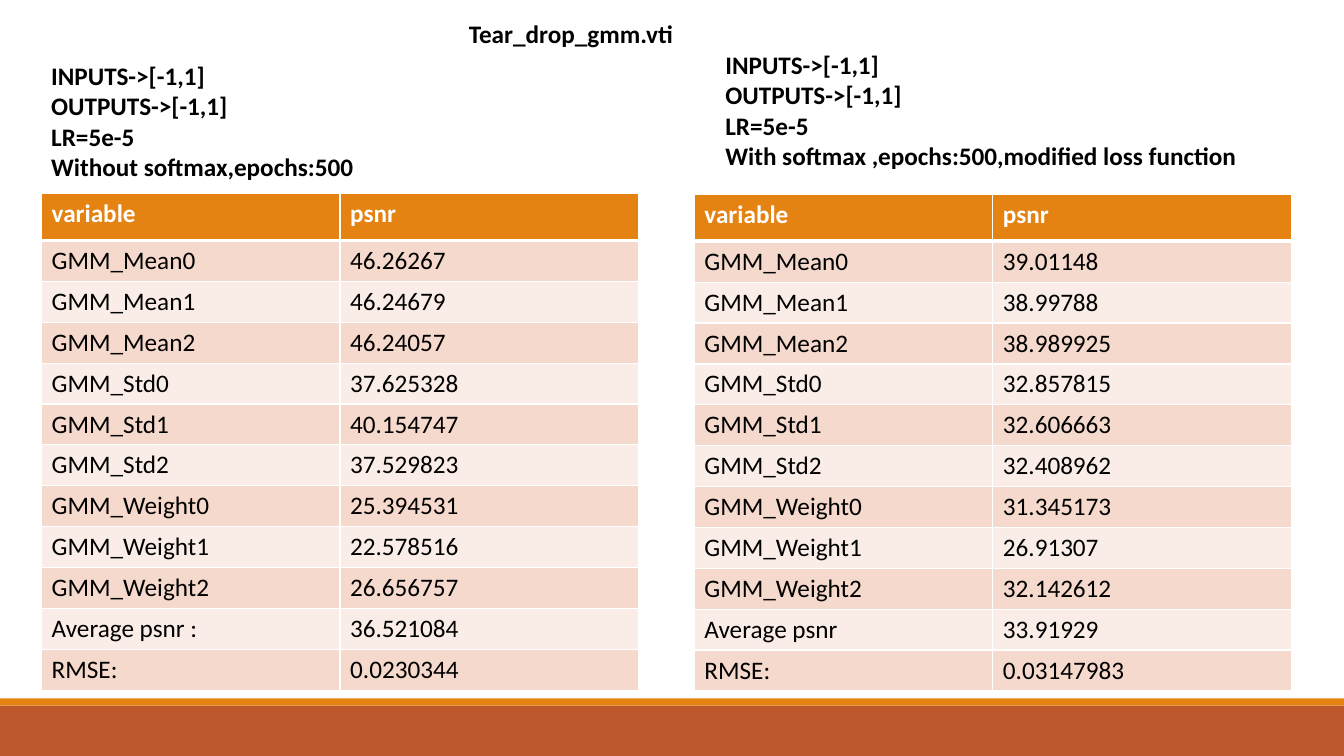
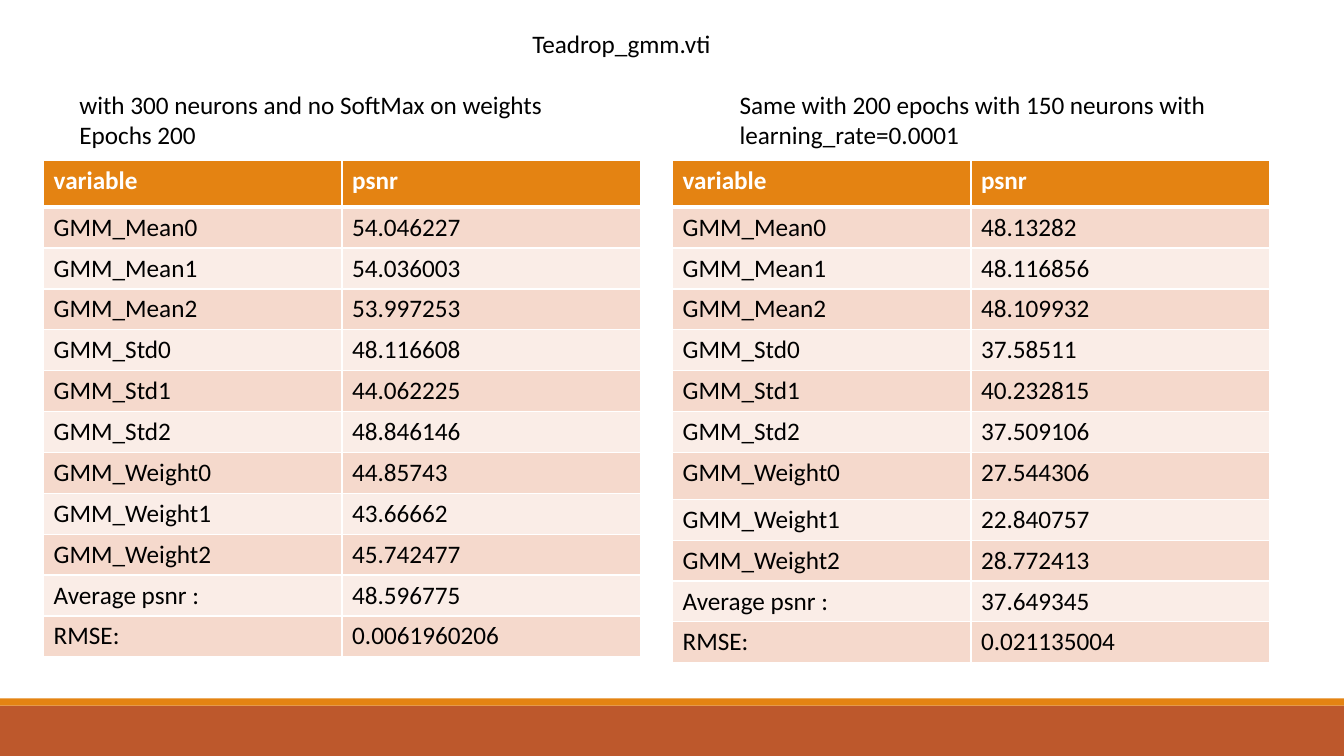
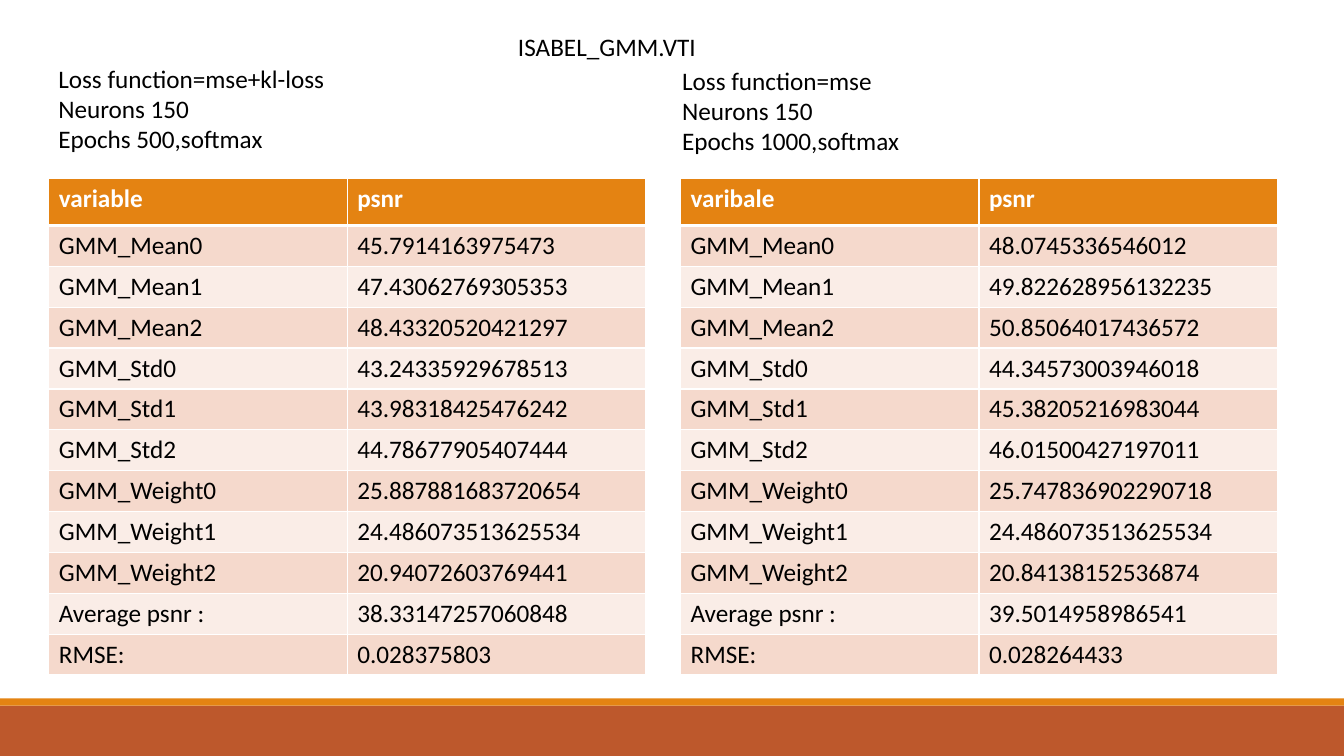
from dataclasses import dataclass

import lxml.etree
import pptx
import pptx.dml.color
import pptx.enum.shapes
import pptx.enum.text
import pptx.oxml.ns
import pptx.util
from pptx.util import Cm

FONT = "Calibri"
TEXT_SIZE = pptx.util.Pt(18)
ORANGE, RUST, WHITE, BLACK = "E48312", "BD582C", "FFFFFF", "000000"
ROW_FILLS = ("F5D9CC", "FAEDE7")

SLIDE_WIDTH, SLIDE_HEIGHT = 33.87, 19.05
COLUMN_WIDTH = 7.52
ROW_HEIGHT, TALL_ROW_HEIGHT = 1.03, 1.18
TITLE_ONLY = 5
VARIABLES = [f"GMM_{name}{index}" for name in ("Mean", "Std", "Weight") for index in range(3)]


@dataclass(frozen=True)
class Box:
    """Place and size in centimetres."""
    left: float
    top: float
    width: float
    height: float

    def lengths(self) -> tuple[Cm, Cm, Cm, Cm]:
        return Cm(self.left), Cm(self.top), Cm(self.width), Cm(self.height)


@dataclass(frozen=True)
class Experiment:
    """Settings note with the table of its scores: nine variables, average, RMSE."""
    note: str
    note_box: Box
    table_left: float
    table_top: float
    scores: str
    variable_header: str = "variable"
    average_label: str = "Average psnr :"
    tall_rows: tuple[int, ...] = (0,)


@dataclass(frozen=True)
class Comparison:
    title: str
    title_box: Box
    experiments: tuple[Experiment, Experiment]
    bold: bool = False


BANDS = (
    (Box(0, 17.78, SLIDE_WIDTH, 1.27), RUST),
    (Box(0, 17.6, SLIDE_WIDTH, 0.18), ORANGE),
)

COMPARISONS = (
    Comparison(
        "Tear_drop_gmm.vti", Box(11.56, 0.33, 14.35, 1.02),
        (
            Experiment(
                "INPUTS->[-1,1]\nOUTPUTS->[-1,1]\nLR=5e-5\nWithout softmax,epochs:500",
                Box(1.04, 1.4, 14.35, 3.33), 1.05, 4.88,
                "46.26267 46.24679 46.24057 37.625328 40.154747 37.529823 "
                "25.394531 22.578516 26.656757 36.521084 0.0230344",
            ),
            Experiment(
                "INPUTS->[-1,1]\nOUTPUTS->[-1,1]\nLR=5e-5\n"
                "With softmax ,epochs:500,modified loss function",
                Box(18.03, 1.12, 14.35, 3.33), 17.5, 4.9,
                "39.01148 38.99788 38.989925 32.857815 32.606663 32.408962 "
                "31.345173 26.91307 32.142612 33.91929 0.03147983",
                average_label="Average psnr",
            ),
        ),
        bold=True,
    ),
    Comparison(
        "Teadrop_gmm.vti", Box(13.16, 0.58, 9.7, 1.02),
        (
            Experiment(
                "with 300 neurons and no SoftMax on weights\nEpochs 200",
                Box(1.75, 2.13, 13.74, 1.8), 1.1, 4.04,
                "54.046227 54.036003 53.997253 48.116608 44.062225 48.846146 "
                "44.85743 43.66662 45.742477 48.596775 0.0061960206",
            ),
            Experiment(
                "Same with 200 epochs with 150 neurons with learning_rate=0.0001",
                Box(18.39, 2.13, 14.76, 1.8), 16.95, 4.04,
                "48.13282 48.116856 48.109932 37.58511 40.232815 37.509106 "
                "27.544306 22.840757 28.772413 37.649345 0.021135004",
                tall_rows=(0, 7),
            ),
        ),
    ),
    Comparison(
        "ISABEL_GMM.VTI", Box(12.8, 0.66, 16.28, 1.02),
        (
            Experiment(
                "Loss function=mse+kl-loss\nNeurons 150\nEpochs 500,softmax",
                Box(1.22, 1.47, 7.6, 2.57), 1.23, 4.5,
                "45.7914163975473 47.43062769305353 48.43320520421297 "
                "43.24335929678513 43.98318425476242 44.78677905407444 "
                "25.887881683720654 24.486073513625534 20.94072603769441 "
                "38.33147257060848 0.028375803",
            ),
            Experiment(
                "Loss function=mse\nNeurons 150\nEpochs 1000,softmax",
                Box(16.94, 1.52, 7.6, 2.57), 17.15, 4.5,
                "48.0745336546012 49.822628956132235 50.85064017436572 "
                "44.34573003946018 45.38205216983044 46.01500427197011 "
                "25.747836902290718 24.486073513625534 20.84138152536874 "
                "39.5014958986541 0.028264433",
                variable_header="varibale",
            ),
        ),
    ),
)


def color(value: str) -> pptx.dml.color.RGBColor:
    return pptx.dml.color.RGBColor.from_string(value)


def write_text(frame, text: str, text_color: str = BLACK, bold: bool = False) -> None:
    frame.text = text
    for paragraph in frame.paragraphs:
        paragraph.alignment = pptx.enum.text.PP_ALIGN.LEFT
        paragraph.font.name = FONT
        paragraph.font.size = TEXT_SIZE
        paragraph.font.bold = bold
        paragraph.font.color.rgb = color(text_color)


def add_bands(slide) -> None:
    for box, fill in BANDS:
        band = slide.shapes.add_shape(pptx.enum.shapes.MSO_SHAPE.RECTANGLE, *box.lengths())
        band.shadow.inherit = False
        band.fill.solid()
        band.fill.fore_color.rgb = color(fill)
        band.line.fill.background()


def set_title(slide, comparison: Comparison) -> None:
    title = slide.shapes.title
    title.left, title.top, title.width, title.height = comparison.title_box.lengths()
    frame = title.text_frame
    frame.word_wrap = True
    frame.auto_size = pptx.enum.text.MSO_AUTO_SIZE.NONE
    frame.vertical_anchor = pptx.enum.text.MSO_ANCHOR.TOP
    write_text(frame, comparison.title, bold=comparison.bold)


def add_note(slide, experiment: Experiment, bold: bool) -> None:
    frame = slide.shapes.add_textbox(*experiment.note_box.lengths()).text_frame
    frame.word_wrap = True
    write_text(frame, experiment.note, bold=bold)


def set_borders(cell, widths: dict[str, float]) -> None:
    """Draw white borders; the keys are the sides L, R, T, B in that order."""
    properties = cell._tc.get_or_add_tcPr()
    tag = pptx.oxml.ns.qn
    for side, points in widths.items():
        line = lxml.etree.SubElement(
            properties, tag(f"a:ln{side}"), w=str(int(pptx.util.Pt(points))))
        fill = lxml.etree.SubElement(line, tag("a:solidFill"))
        lxml.etree.SubElement(fill, tag("a:srgbClr"), val=WHITE)


def add_score_table(slide, experiment: Experiment) -> None:
    labels = [experiment.variable_header, *VARIABLES, experiment.average_label, "RMSE:"]
    scores = ["psnr", *experiment.scores.split()]
    heights = [TALL_ROW_HEIGHT if row in experiment.tall_rows else ROW_HEIGHT
               for row in range(len(labels))]
    box = Box(experiment.table_left, experiment.table_top, 2 * COLUMN_WIDTH, sum(heights))
    table = slide.shapes.add_table(len(labels), 2, *box.lengths()).table
    for column in table.columns:
        column.width = Cm(COLUMN_WIDTH)
    for row, texts in enumerate(zip(labels, scores)):
        table.rows[row].height = Cm(heights[row])
        is_header = row == 0
        top = 3 if row == 1 else 1
        bottom = 3 if is_header else 1
        for column, text in enumerate(texts):
            cell = table.cell(row, column)
            set_borders(cell, {"L": 1, "R": 1, "T": top, "B": bottom})
            cell.fill.solid()
            cell.fill.fore_color.rgb = color(ORANGE if is_header else ROW_FILLS[(row - 1) % 2])
            write_text(cell.text_frame, text, WHITE if is_header else BLACK, is_header)


def main() -> None:
    presentation = pptx.Presentation()
    presentation.slide_width = Cm(SLIDE_WIDTH)
    presentation.slide_height = Cm(SLIDE_HEIGHT)
    for comparison in COMPARISONS:
        slide = presentation.slides.add_slide(presentation.slide_layouts[TITLE_ONLY])
        add_bands(slide)
        set_title(slide, comparison)
        for experiment in comparison.experiments:
            add_score_table(slide, experiment)
            add_note(slide, experiment, comparison.bold)
    presentation.save("out.pptx")


if __name__ == "__main__":
    main()
